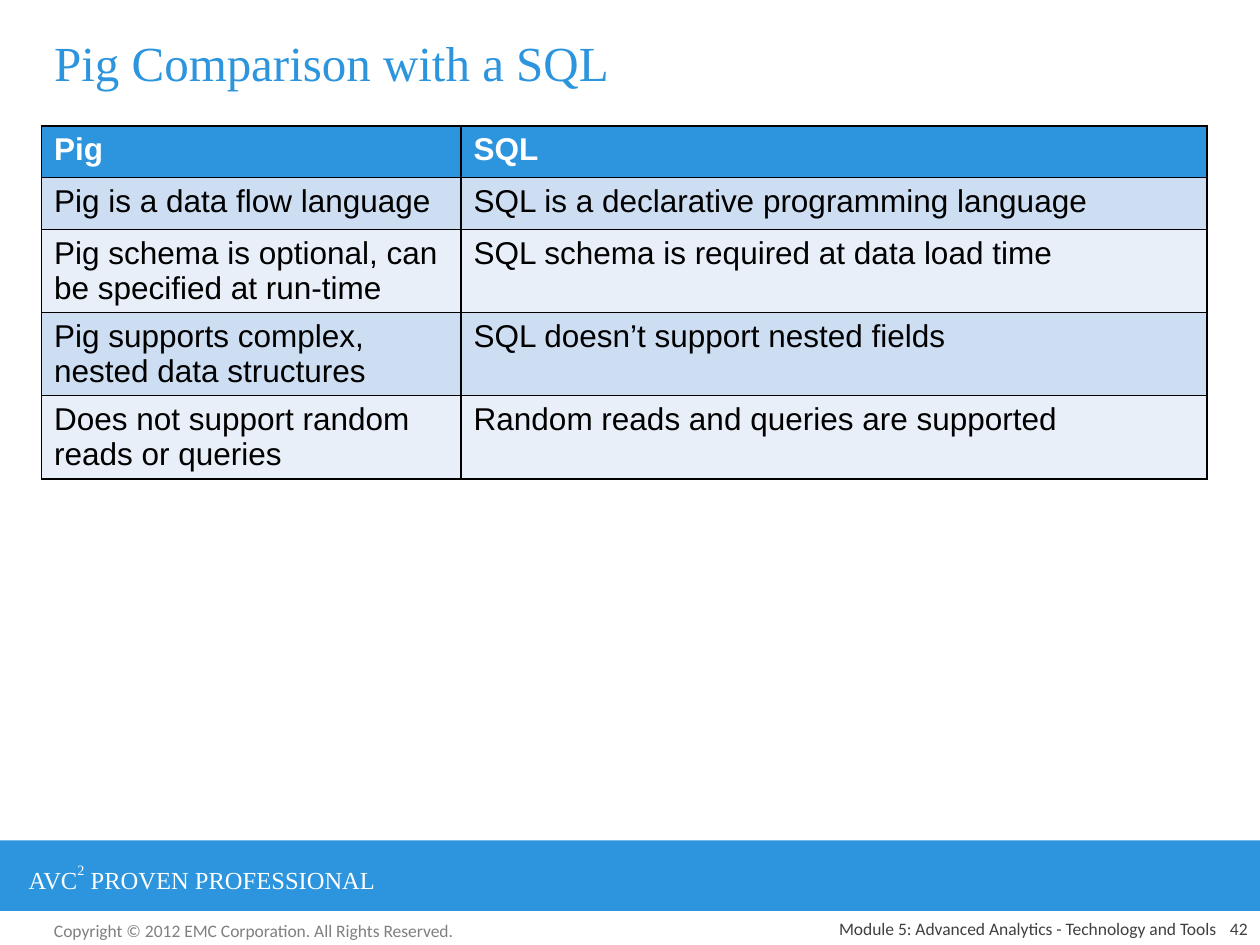
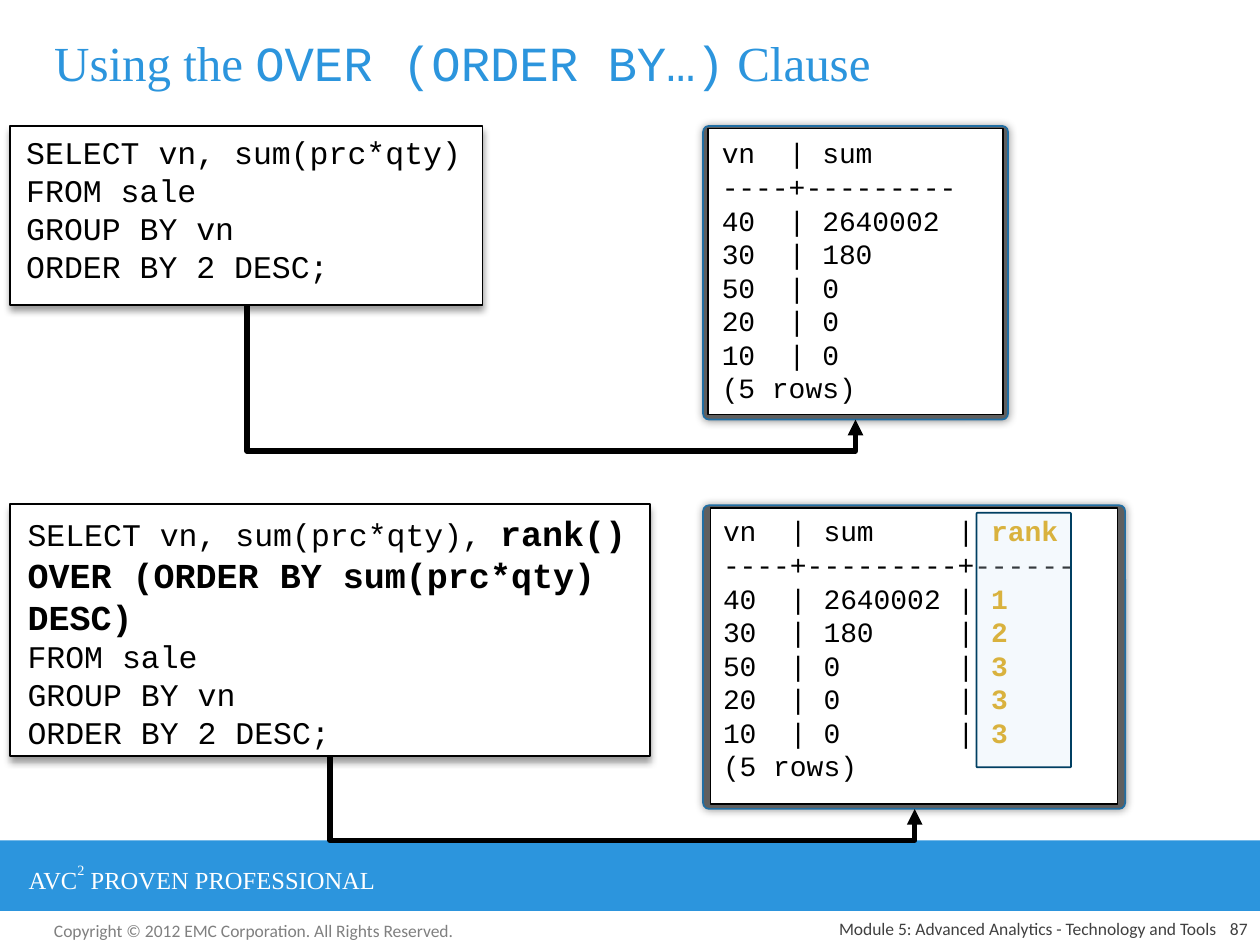
from dataclasses import dataclass
from typing import NamedTuple

from lxml.etree import SubElement
from pptx import Presentation
from pptx.dml.color import RGBColor
from pptx.enum.shapes import MSO_CONNECTOR as Link, MSO_SHAPE as Kind
from pptx.enum.text import MSO_ANCHOR as Anchor, PP_ALIGN as Align
from pptx.oxml.ns import qn
from pptx.util import Inches, Pt

HUES = {
    "blue": "2C95DD", "white": "FFFFFF", "black": "000000",
    "grey": "808080", "dark": "404040", "frame": "5F5F5F",
    "edge": "216EA3", "navy": "003F62", "tint": "D5EAF8",
    "gold": "DBA000", "odd": "CDDDF2", "even": "E8EFF9",
}
SERIF, SANS, BODY, MONO = "Times New Roman", "Arial", "Calibri", "Courier New"


class Box(NamedTuple):
    left: float
    top: float
    width: float
    height: float

    def place(self) -> list:
        return [Inches(side) for side in self]


@dataclass
class Run:
    text: str
    size: float
    font: str = MONO
    hue: str = "black"
    bold: bool = False
    rise: int = 0


@dataclass
class Look:
    fill: str
    line: str = ""
    kind: Kind = Kind.RECTANGLE
    round: float = 0
    alpha: int = 100
    blur: float = 0
    drop: float = 0


class Panel(NamedTuple):
    outer: Box
    look: Look
    inner: Box | None
    text: Box
    lines: list


class Bend(NamedTuple):
    start: tuple
    end: tuple
    low: float


QUERY = Look("white", "black", blur=4, drop=3)
FRAME = Look("frame", "edge", Kind.ROUNDED_RECTANGLE, 0.02, blur=5)
SHEET = Look("white", "black")
MARK = Look("tint", "navy", Kind.ROUNDED_RECTANGLE, 0.01, alpha=25)


def color(name: str) -> RGBColor:
    return RGBColor.from_string(HUES[name])


def write(frame, lines: list, align=Align.LEFT) -> None:
    for num, runs in enumerate(lines):
        para = frame.add_paragraph() if num else frame.paragraphs[0]
        para.alignment = align
        for item in runs:
            run = para.add_run()
            run.text = item.text
            font = run.font
            font.size, font.name, font.bold = Pt(item.size), item.font, item.bold
            font.color.rgb = color(item.hue)
            if item.rise:
                run._r.get_or_add_rPr().set("baseline", str(item.rise * 1000))


def add_text(slide, box: Box, lines: list, align=Align.LEFT, anchor=Anchor.TOP) -> None:
    frame = slide.shapes.add_textbox(*box.place()).text_frame
    frame.word_wrap = True
    frame.vertical_anchor = anchor
    write(frame, lines, align)


def add_box(slide, box: Box, look: Look) -> None:
    shape = slide.shapes.add_shape(look.kind, *box.place())
    shape.shadow.inherit = False
    if look.round:
        shape.adjustments[0] = look.round
    shape.fill.solid()
    shape.fill.fore_color.rgb = color(look.fill)
    props = shape._element.spPr
    if look.alpha < 100:
        tone = props.find(qn("a:solidFill")).find(qn("a:srgbClr"))
        SubElement(tone, qn("a:alpha"), val=str(look.alpha * 1000))
    if look.line:
        shape.line.color.rgb = color(look.line)
        shape.line.width = Pt(1)
    else:
        shape.line.fill.background()
    if look.blur:
        shade = SubElement(
            props.find(qn("a:effectLst")), qn("a:outerShdw"),
            blurRad=str(Pt(look.blur)), dist=str(Pt(look.drop)),
            dir="5400000" if look.drop else "0", algn="ctr", rotWithShape="0")
        tone = SubElement(shade, qn("a:srgbClr"), val=HUES["black"])
        SubElement(tone, qn("a:alpha"), val="40000")


def add_bend(slide, bend: Bend) -> None:
    """Elbow arrow that dips to a low level and rises to its end."""
    (x1, y1), (x2, y2) = bend.start, bend.end
    wide, tall = x2 - x1, y2 - y1
    link = slide.shapes.add_connector(
        Link.ELBOW, *[Inches(n) for n in (x1, y1, x2, y2)])
    # A quarter turn swaps width and height about the centre
    link.left, link.top = Inches((x1 + x2 - tall) / 2), Inches((y1 + y2 - wide) / 2)
    link.width, link.height = Inches(tall), Inches(wide)
    props = link._element.spPr
    turn = props.find(qn("a:xfrm"))
    turn.set("rot", "16200000")
    turn.set("flipH", "1")
    ratio = round((bend.low - y1) / tall * 100000)
    guides = props.find(qn("a:prstGeom")).find(qn("a:avLst"))
    SubElement(guides, qn("a:gd"), name="adj1", fmla=f"val {ratio}")
    link.line.color.rgb = color("black")
    link.line.width = Pt(3)
    SubElement(props.find(qn("a:ln")), qn("a:tailEnd"), type="triangle")
    SubElement(props, qn("a:effectLst"))


def add_panel(slide, panel: Panel) -> None:
    add_box(slide, panel.outer, panel.look)
    if panel.inner:
        add_box(slide, panel.inner, SHEET)
    add_text(slide, panel.text, panel.lines)


def add_slide(deck, title: list, page: int):
    """Slide with the shared title, band and footers."""
    slide = deck.slides.add_slide(deck.slide_layouts[5])
    add_text(slide, Box(0.33, 7.25, 3.42, 0.27), [[Run(
        "Copyright © 2012 EMC Corporation. All Rights Reserved.", 10, BODY, "grey")]])
    add_box(slide, Box(0, 6.67, 10, 0.56), Look("blue"))
    add_text(slide, Box(0.13, 6.79, 3.7, 0.34), [[
        Run("AVC", 14, SERIF, "white"),
        Run("2", 14, SERIF, "white", rise=56),
        Run(" PROVEN PROFESSIONAL", 14, SERIF, "white")]])
    head = slide.shapes.title
    head.left, head.top, head.width, head.height = Box(0.33, 0.08, 9.25, 0.83).place()
    head.text_frame.vertical_anchor = Anchor.MIDDLE
    write(head.text_frame, [title])
    for box, text in (
        (Box(9.5, 7.25, 0.5, 0.25), str(page)),
        (Box(5.17, 7.25, 4.58, 0.25),
         "Module 5: Advanced Analytics - Technology and Tools"),
    ):
        add_text(slide, box, [[Run(text, 10, BODY, "dark")]], Align.RIGHT, Anchor.BOTTOM)
    return slide


def heading(text: str, font: str = SERIF) -> Run:
    return Run(text, 28, font, "blue")


def add_edges(cell) -> None:
    props = cell._tc.get_or_add_tcPr()
    for side in ("lnL", "lnR", "lnT", "lnB"):
        line = SubElement(props, qn(f"a:{side}"), w=str(Pt(1)))
        fill = SubElement(line, qn("a:solidFill"))
        SubElement(fill, qn("a:srgbClr"), val=HUES["black"])


def add_grid(slide, rows: list, widths: list, left: float, top: float, high: float) -> None:
    area = Box(left, top, sum(widths), high * len(rows))
    grid = slide.shapes.add_table(len(rows), len(widths), *area.place()).table
    for col, width in zip(grid.columns, widths):
        col.width = Inches(width)
    for r, row in enumerate(rows):
        grid.rows[r].height = Inches(high)
        for c, text in enumerate(row):
            cell = grid.cell(r, c)
            add_edges(cell)
            cell.margin_bottom = Inches(0.01)
            cell.fill.solid()
            shade = "blue" if r == 0 else "odd" if r % 2 else "even"
            cell.fill.fore_color.rgb = color(shade)
            hue = "black" if r else "white"
            write(cell.text_frame, [[Run(text, 18, SANS, hue, bold=r == 0)]])


def code(lines: list, size: float) -> list:
    return [[Run(line, size)] for line in lines]


def ranked(text: str, rank: str) -> list:
    return [Run(text, 16), Run(rank, 16, hue="gold", bold=True)]


ROWS = [
    ("Pig", "SQL"),
    ("Pig is a data flow language", "SQL is a declarative programming language"),
    ("Pig schema is optional, can be specified at run-time",
     "SQL schema is required at data load time"),
    ("Pig supports complex, nested data structures",
     "SQL doesn’t support nested fields"),
    ("Does not support random reads or queries",
     "Random reads and queries are supported"),
]
SALES = [("40", "2640002", "1"), ("30", "180", "2"), ("50", "0", "3"),
         ("20", "0", "3"), ("10", "0", "3")]
TAIL = ["FROM sale", "GROUP BY vn", "ORDER BY 2 DESC;"]
COUNT = "(5 rows)"

PANELS = [
    Panel(Box(0.08, 1, 3.75, 1.42), QUERY, None, Box(0.11, 1.01, 3.68, 1.36),
          code(["SELECT vn, sum(prc*qty)", *TAIL], 18)),
    Panel(Box(5.58, 1, 2.42, 2.33), FRAME, Box(5.62, 1.02, 2.34, 2.27),
          Box(5.63, 1.03, 2.31, 2.26),
          code(["vn  | sum", "----+---------",
                *[f"{vn}  | {total}" for vn, total, _ in SALES], COUNT], 16)),
    Panel(Box(0.08, 4, 5.08, 2), QUERY, None, Box(0.12, 4.01, 4.99, 2.02),
          [[Run("SELECT vn, sum(prc*qty), ", 18), Run("rank()", 20, bold=True)],
           [Run("OVER (ORDER BY sum(prc*qty) DESC)", 20, bold=True)],
           *code(TAIL, 18)]),
    Panel(Box(5.58, 4.01, 3.35, 2.41), FRAME, Box(5.64, 4.03, 3.23, 2.35),
          Box(5.64, 4.03, 3.2, 2.26),
          [ranked("vn  | sum     | ", "rank"),
           *code(["----+---------+------"], 16),
           *[ranked(f"{vn}  | {total:<7} | ", rank) for vn, total, rank in SALES],
           *code([COUNT], 16)]),
]
BENDS = [Bend((1.96, 2.42), (6.79, 3.33), 3.58),
         Bend((2.62, 6), (7.26, 6.42), 6.67)]


def main() -> None:
    deck = Presentation()
    deck.slide_width, deck.slide_height = Inches(10), Inches(7.5)

    # Comparison table
    slide = add_slide(deck, [heading("Pig Comparison with a SQL")], 42)
    add_grid(slide, ROWS, [3.33, 5.92], 0.33, 1, 0.41)

    # Queries and their results
    slide = add_slide(deck, [heading("Using the "), heading("OVER (ORDER BY…)", MONO),
                             heading(" Clause")], 87)
    for panel in PANELS:
        add_panel(slide, panel)
    add_box(slide, Box(7.75, 4.07, 0.75, 2.02), MARK)
    for bend in BENDS:
        add_bend(slide, bend)

    deck.save("out.pptx")


if __name__ == "__main__":
    main()
